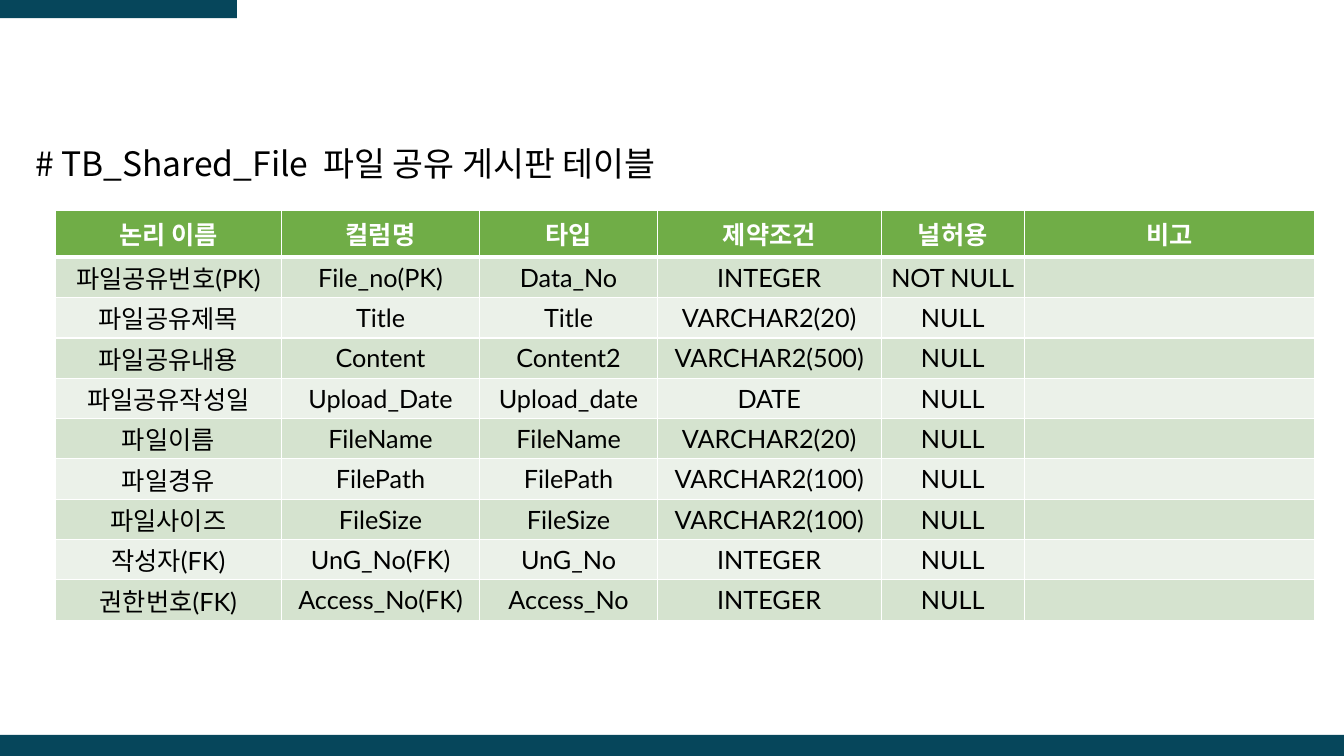
from lxml.etree import SubElement
from pptx import Presentation
from pptx.dml.color import RGBColor
from pptx.enum.shapes import MSO_SHAPE as Shape
from pptx.enum.text import MSO_ANCHOR as Anchor, PP_ALIGN as Align
from pptx.oxml import parse_xml
from pptx.oxml.ns import nsdecls, qn
from pptx.util import Inches, Pt

WIDTH, HEIGHT = 13.33, 7.5
NAVY = RGBColor(0x06, 0x46, 0x5B)
GREEN = RGBColor(0x70, 0xAD, 0x47)
BAND_DARK = RGBColor(0xD5, 0xE3, 0xCF)
BAND_LIGHT = RGBColor(0xEB, 0xF1, 0xE9)
WHITE = RGBColor(0xFF, 0xFF, 0xFF)
BLACK = RGBColor(0x00, 0x00, 0x00)
LATIN_FONT, KOREAN_FONT = "Lato", "Noto Sans CJK KR"

COLUMN_WIDTHS = [2.24, 1.97, 1.76, 2.22, 1.42, 2.88]
HEADER_HEIGHT, ROW_HEIGHT = 0.46, 0.4
HEADERS = ["논리 이름", "컬럼명", "타입", "제약조건", "널허용", "비고"]
COLUMNS = [
    ["파일공유번호(PK)", "File_no(PK)", "Data_No", "INTEGER", "NOT NULL", ""],
    ["파일공유제목", "Title", "Title", "VARCHAR2(20)", "NULL", ""],
    ["파일공유내용", "Content", "Content2", "VARCHAR2(500)", "NULL", ""],
    ["파일공유작성일", "Upload_Date", "Upload_date", "DATE", "NULL", ""],
    ["파일이름", "FileName", "FileName", "VARCHAR2(20)", "NULL", ""],
    ["파일경유", "FilePath", "FilePath", "VARCHAR2(100)", "NULL", ""],
    ["파일사이즈", "FileSize", "FileSize", "VARCHAR2(100)", "NULL", ""],
    ["작성자(FK)", "UnG_No(FK)", "UnG_No", "INTEGER", "NULL", ""],
    ["권한번호(FK)", "Access_No(FK)", "Access_No", "INTEGER", "NULL", ""],
]


def write_text(frame, text, font=LATIN_FONT, size=18, color=BLACK, bold=False,
               align=Align.LEFT, line_spacing=None):
    """Write one formatted paragraph into a text frame."""
    paragraph = frame.paragraphs[0]
    paragraph.alignment = align
    paragraph.line_spacing = line_spacing
    if not text:
        return
    run = paragraph.add_run()
    run.text = text
    run.font.name, run.font.size, run.font.bold = font, Pt(size), bold
    run.font.color.rgb = color
    SubElement(run.font._element, qn("a:ea"), typeface=KOREAN_FONT)


def add_bar(slide, left, top, width, height):
    """Draw a plain navy bar."""
    bar = slide.shapes.add_shape(Shape.RECTANGLE, Inches(left), Inches(top),
                                 Inches(width), Inches(height))
    bar.shadow.inherit = False
    bar.fill.solid()
    bar.fill.fore_color.rgb = NAVY
    bar.line.fill.background()


def add_heading(slide, left, top, width, height):
    """Place the table's name above it."""
    frame = slide.shapes.add_textbox(Inches(left), Inches(top), Inches(width),
                                     Inches(height)).text_frame
    frame.word_wrap = True
    frame.vertical_anchor = Anchor.MIDDLE
    write_text(frame, "# TB_Shared_File  파일 공유 게시판 테이블",
               font=KOREAN_FONT, size=24, line_spacing=0.9)


def set_borders(cell, top=1, bottom=1):
    """Give a cell white borders, with top and bottom widths in points."""
    properties = cell._tc.get_or_add_tcPr()
    widths = {"lnL": 1, "lnR": 1, "lnT": top, "lnB": bottom}
    for position, (side, width) in enumerate(widths.items()):
        properties.insert(position, parse_xml(
            f'<a:{side} {nsdecls("a")} w="{Pt(width)}"><a:solidFill>'
            f'<a:srgbClr val="{WHITE}"/></a:solidFill></a:{side}>'))


def add_column_table(slide, left, top):
    """Build the table that describes the database columns."""
    rows = [HEADERS] + COLUMNS
    height = HEADER_HEIGHT + ROW_HEIGHT * len(COLUMNS)
    table = slide.shapes.add_table(
        len(rows), len(HEADERS), Inches(left), Inches(top),
        Inches(sum(COLUMN_WIDTHS)), Inches(height)).table
    table.horz_banding = False
    for column, width in zip(table.columns, COLUMN_WIDTHS):
        column.width = Inches(width)
    for index, texts in enumerate(rows):
        header = index == 0
        table.rows[index].height = Inches(HEADER_HEIGHT if header else ROW_HEIGHT)
        fill = GREEN if header else BAND_DARK if index % 2 else BAND_LIGHT
        for cell, text in zip(table.rows[index].cells, texts):
            cell.fill.solid()
            cell.fill.fore_color.rgb = fill
            set_borders(cell, top=3 if index == 1 else 1, bottom=3 if header else 1)
            if not header:
                cell.vertical_anchor = Anchor.MIDDLE
                cell.margin_left = cell.margin_right = 0
                cell.margin_top = cell.margin_bottom = 0
            write_text(cell.text_frame, text, color=WHITE if header else BLACK,
                       bold=header, align=Align.CENTER)


def build_slide(presentation):
    """Lay out the table definition slide."""
    slide = presentation.slides.add_slide(presentation.slide_layouts[6])
    add_bar(slide, 0, 0, 2.35, 0.18)
    add_bar(slide, 0, 7.29, WIDTH, 0.21)
    add_column_table(slide, 0.55, 2.09)
    add_heading(slide, 0.25, 1.43, 8.21, 0.43)


presentation = Presentation()
presentation.slide_width, presentation.slide_height = Inches(WIDTH), Inches(HEIGHT)
build_slide(presentation)
presentation.save("out.pptx")
